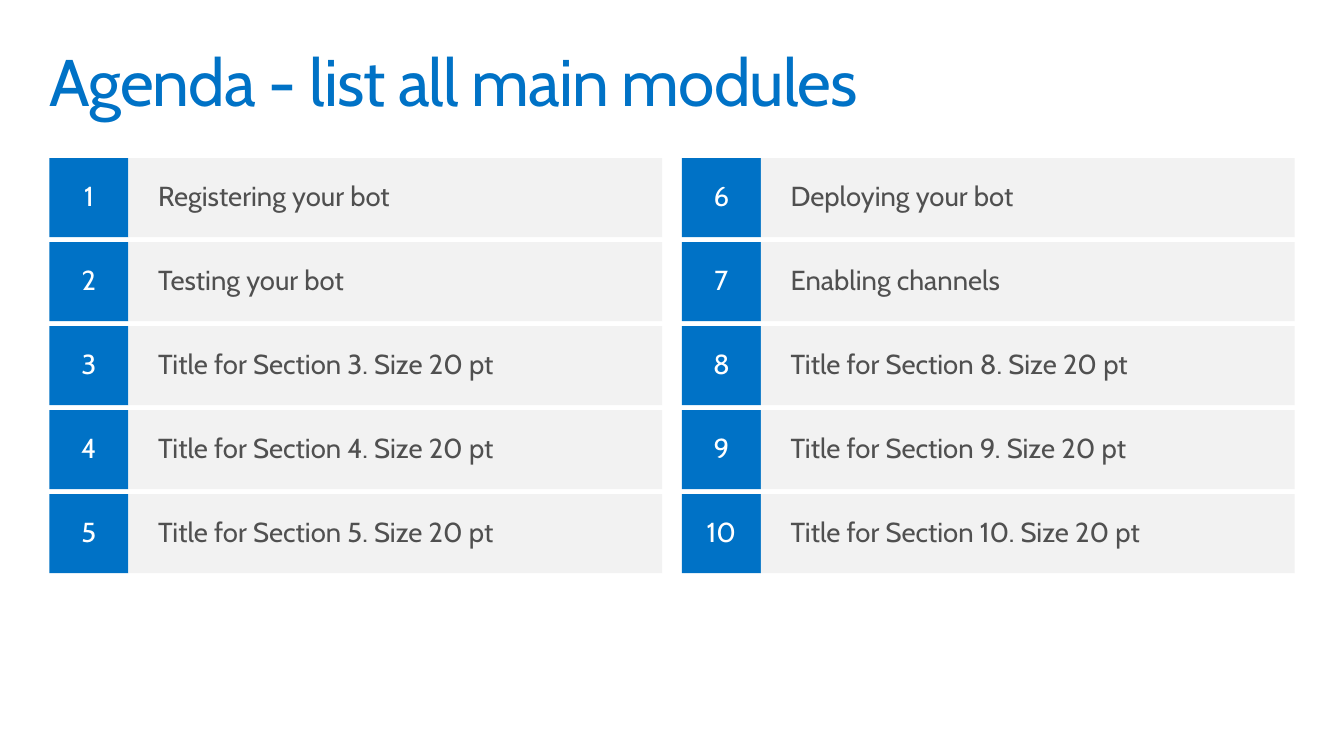
from pptx import Presentation
from pptx.dml.color import RGBColor
from pptx.enum.shapes import MSO_SHAPE
from pptx.enum.text import MSO_ANCHOR, PP_ALIGN
from pptx.util import Pt

RECT = MSO_SHAPE.RECTANGLE
TOP, MIDDLE = MSO_ANCHOR.TOP, MSO_ANCHOR.MIDDLE
LEFT, CENTER = PP_ALIGN.LEFT, PP_ALIGN.CENTER

FONT = "Cabin"
COLORS = {"blue": "0072C6", "panel": "F2F2F2", "text": "505050", "white": "FFFFFF"}

MODULES = [
    "Registering your bot",
    "Testing your bot",
    "Title for Section 3. Size 20 pt",
    "Title for Section 4. Size 20 pt",
    "Title for Section 5. Size 20 pt",
    "Deploying your bot",
    "Enabling channels",
    "Title for Section 8. Size 20 pt",
    "Title for Section 9. Size 20 pt",
    "Title for Section 10. Size 20 pt",
]
ROWS = 5
GRID_LEFT, GRID_TOP = 36, 115.2
COLUMN_STEP, ROW_STEP = 460.8, 61.2
ROW_HEIGHT = NUMBER_WIDTH = 57.6
NAME_WIDTH = 388.8


def rgb(name):
    return RGBColor.from_string(COLORS[name])


def set_text(sp, text, size, color, inset, align=LEFT, anchor=MIDDLE):
    """Write one line of text; inset is (horizontal, vertical) in points."""
    tf = sp.text_frame
    tf.word_wrap = True
    tf.vertical_anchor = anchor
    tf.margin_left = tf.margin_right = Pt(inset[0])
    tf.margin_top = tf.margin_bottom = Pt(inset[1])
    p = tf.paragraphs[0]
    p.alignment = align
    p.line_spacing = 0.9
    r = p.add_run()
    r.text = text
    r.font.name = FONT
    r.font.size = Pt(size)
    r.font.color.rgb = rgb(color)
    return r


def add_title(s, text):
    sp = s.shapes.add_textbox(Pt(28.8), Pt(28.8), Pt(921.6), Pt(72))
    r = set_text(sp, text, 48, "blue", (7.2, 7.2), anchor=TOP)
    r.font._element.set("spc", "-70")


def add_box(s, x, y, width, fill):
    sp = s.shapes.add_shape(RECT, Pt(x), Pt(y), Pt(width), Pt(ROW_HEIGHT))
    sp.shadow.inherit = False
    sp.fill.solid()
    sp.fill.fore_color.rgb = rgb(fill)
    sp.line.fill.background()
    return sp


def add_module(s, index, name):
    column, row = divmod(index, ROWS)
    x = GRID_LEFT + column * COLUMN_STEP
    y = GRID_TOP + row * ROW_STEP
    number_box = add_box(s, x, y, NUMBER_WIDTH, "blue")
    set_text(number_box, str(index + 1), 20, "white", (14.4, 11.52), CENTER)
    name_box = add_box(s, x + NUMBER_WIDTH, y, NAME_WIDTH, "panel")
    set_text(name_box, name, 20, "text", (21.6, 7.2))


def main():
    prs = Presentation()
    prs.slide_width, prs.slide_height = Pt(979.2), Pt(550.8)
    s = prs.slides.add_slide(prs.slide_layouts[6])
    add_title(s, "Agenda - list all main modules")
    for index, name in enumerate(MODULES):
        add_module(s, index, name)
    prs.save("out.pptx")


if __name__ == "__main__":
    main()
